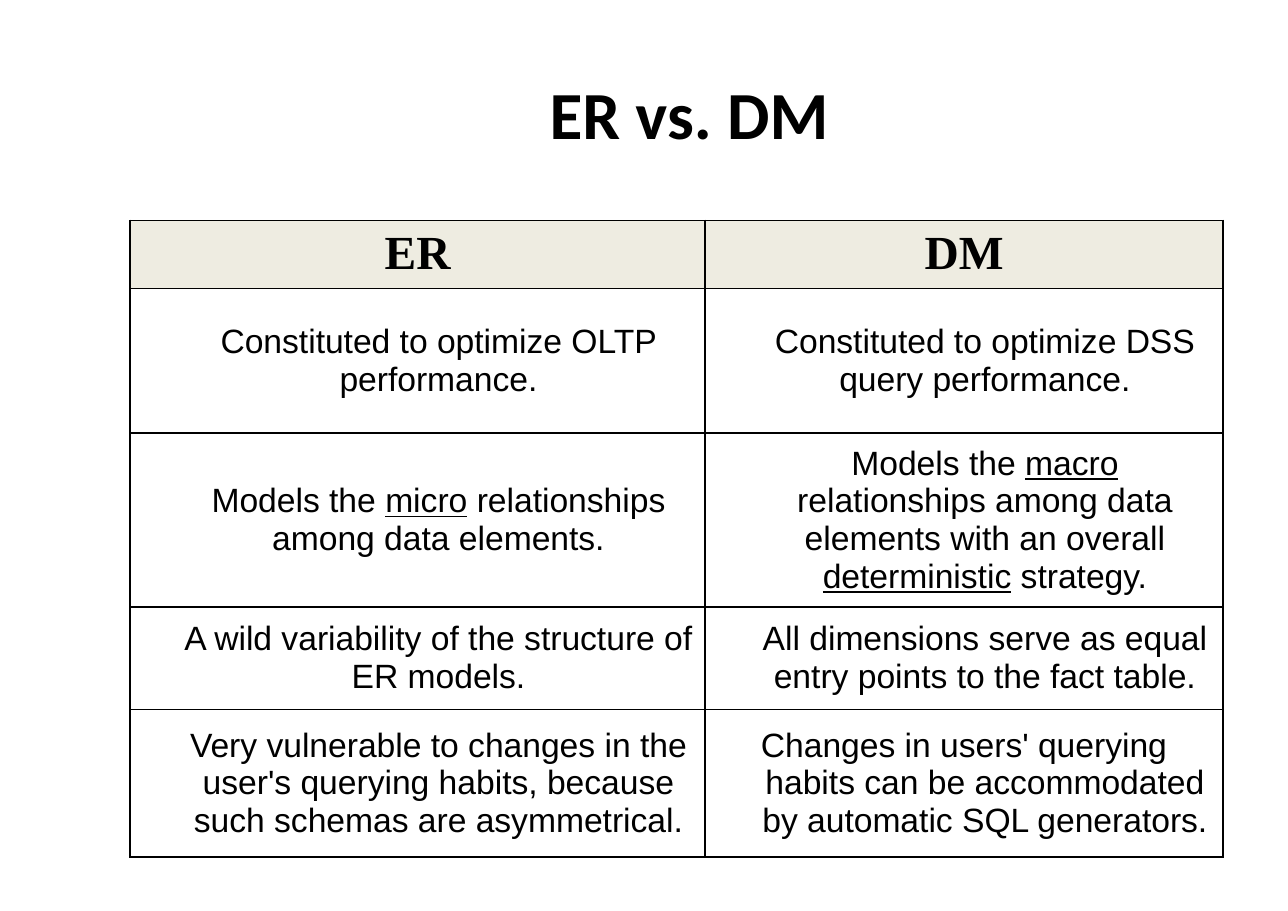
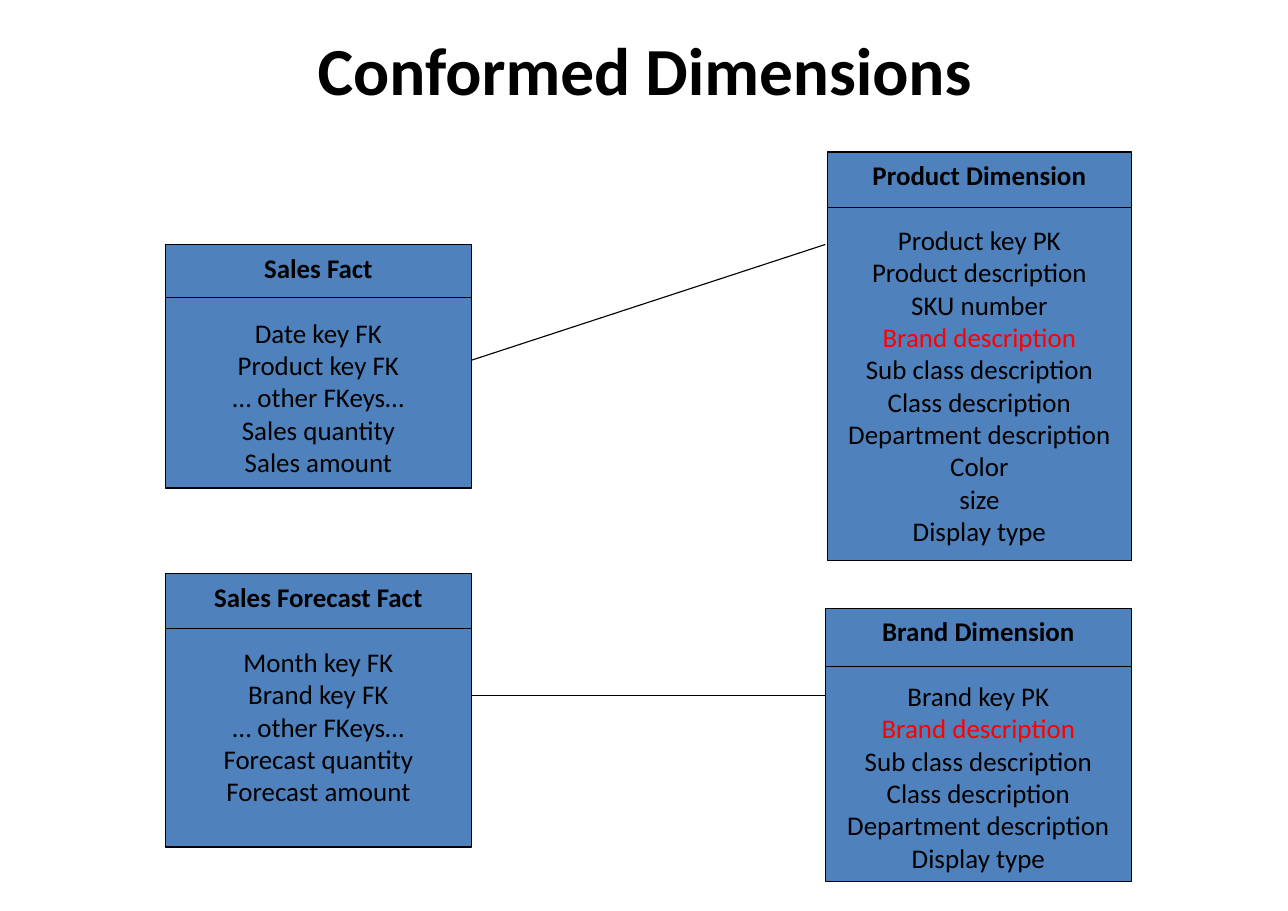
import pptx
import pptx.util
import pptx.dml.color
import pptx.enum.shapes
import pptx.enum.text
import pptx.oxml
import pptx.oxml.ns
from lxml import etree

Inches = pptx.util.Inches
Pt = pptx.util.Pt
qn = pptx.oxml.ns.qn
MIDDLE = pptx.enum.text.MSO_ANCHOR.MIDDLE
TOP = pptx.enum.text.MSO_ANCHOR.TOP
CENTER = pptx.enum.text.PP_ALIGN.CENTER

BLACK, RED, BOX_BLUE, HEADER_FILL = "000000", "FF0000", "4F81BD", "EEECE1"
TITLE_FONT = dict(name="Calibri", size=Pt(44), bold=True)
HEADER_FONT = dict(name="Times New Roman", size=Pt(31), bold=True)
CELL_FONT = dict(name="Arial", size=Pt(22), bold=False)
HEADING_FONT = dict(name="Calibri", size=Pt(17.6), bold=True)
FIELD_FONT = dict(HEADING_FONT, bold=False)
MARGINS = dict(margin_left=Inches(0.11), margin_right=Inches(0.11),
               margin_top=Inches(0.06), margin_bottom=Inches(0.06))
HANG = 0.38

COMPARISON = [
    ("ER", "DM"),
    ("Constituted to optimize OLTP performance.",
     "Constituted to optimize DSS query performance."),
    ("Models the _micro_ relationships among data elements.",
     "Models the _macro_ relationships among data elements with an overall "
     "_deterministic_ strategy."),
    ("A wild variability of the structure of ER models.",
     "All dimensions serve as equal entry points to the fact table."),
    ("Very vulnerable to changes in the user's querying habits, because such "
     "schemas are asymmetrical.",
     "Changes in users' querying habits can be accommodated by automatic SQL "
     "generators."),
]
COLUMN_WIDTHS = (5.22, 4.7)
ROW_HEIGHTS = (0.62, 1.31, 1.58, 0.93, 1.34)

# Each entity: box, height of its heading band, heading, fields
ENTITIES = [
    ((1.5, 2.22, 2.78, 2.21), 0.48, "Sales Fact",
     ["Date key FK", "Product key FK", "… other FKeys…", "Sales quantity",
      "Sales amount"]),
    ((7.51, 1.38, 2.76, 3.71), 0.5, "Product Dimension",
     ["Product key PK", "Product description", "SKU number",
      "Brand description", "Sub class description", "Class description",
      "Department description", "Color", "size", "Display type"]),
    ((1.5, 5.21, 2.78, 2.48), 0.49, "Sales Forecast Fact",
     ["Month key FK", "Brand key FK", "… other FKeys…", "Forecast quantity",
      "Forecast amount"]),
    ((7.49, 5.52, 2.78, 2.48), 0.53, "Brand Dimension",
     ["Brand key PK", "Brand description", "Sub class description",
      "Class description", "Department description", "Display type"]),
]
SHARED_FIELD = "Brand description"
RELATIONS = [((7.49, 2.22), (4.28, 3.27)), ((7.49, 6.31), (4.28, 6.31))]


def rgb(color):
    return pptx.dml.color.RGBColor.from_string(color)


def set_all(target, values):
    for attribute, value in values.items():
        setattr(target, attribute, value)


def add_run(paragraph, text, font, color=BLACK, underline=False):
    run = paragraph.add_run()
    run.text = text
    set_all(run.font, dict(font, underline=underline))
    run.font.color.rgb = rgb(color)


def add_titled_slide(deck, title, box):
    slide = deck.slides.add_slide(deck.slide_layouts[5])
    holder = slide.shapes.title
    set_all(holder, dict(zip(("left", "top", "width", "height"),
                             map(Inches, box))))
    frame = holder.text_frame
    set_all(frame, dict(MARGINS, word_wrap=True, vertical_anchor=MIDDLE,
                        auto_size=pptx.enum.text.MSO_AUTO_SIZE.NONE))
    frame.paragraphs[0].alignment = CENTER
    add_run(frame.paragraphs[0], title, TITLE_FONT)
    return slide


def add_line(slide, start, end, weight):
    line = slide.shapes.add_connector(
        pptx.enum.shapes.MSO_CONNECTOR.STRAIGHT,
        *map(Inches, (*start, *end)))
    line.line.color.rgb = rgb(BLACK)
    line.line.width = Pt(weight)
    etree.SubElement(line._element.spPr, qn("a:effectLst"))


def add_cell_borders(cell):
    properties = cell._tc.get_or_add_tcPr()
    for side in ("lnL", "lnR", "lnT", "lnB"):
        border = etree.SubElement(properties, qn(f"a:{side}"), w=str(Pt(1)))
        fill = etree.SubElement(border, qn("a:solidFill"))
        etree.SubElement(fill, qn("a:srgbClr"), val=BLACK)


def fill_cell(cell, text, is_header, hanging):
    add_cell_borders(cell)
    set_all(cell, dict(MARGINS, vertical_anchor=TOP if is_header else MIDDLE))
    paragraph = cell.text_frame.paragraphs[0]
    paragraph.alignment = CENTER
    if is_header:
        cell.fill.solid()
        cell.fill.fore_color.rgb = rgb(HEADER_FILL)
    else:
        cell.fill.background()
        indents = paragraph._p.get_or_add_pPr()
        indents.set("marL", str(Inches(HANG)))
        indents.set("indent", str(Inches(-HANG if hanging else 0)))
    # Text between underscores is underlined
    for index, part in enumerate(text.split("_")):
        add_run(paragraph, part, HEADER_FONT if is_header else CELL_FONT,
                underline=index % 2 == 1)


def add_comparison(slide, left, top):
    table = slide.shapes.add_table(
        len(ROW_HEIGHTS), len(COLUMN_WIDTHS), Inches(left), Inches(top),
        Inches(sum(COLUMN_WIDTHS)), Inches(sum(ROW_HEIGHTS))).table
    set_all(table, dict(first_row=False, horz_banding=False))
    for column, width in zip(table.columns, COLUMN_WIDTHS):
        column.width = Inches(width)
    for row, height in zip(table.rows, ROW_HEIGHTS):
        row.height = Inches(height)
    for r, texts in enumerate(COMPARISON):
        for c, text in enumerate(texts):
            # Only the closing cell starts its first line further left
            closing = (r, c) == (len(ROW_HEIGHTS) - 1, len(COLUMN_WIDTHS) - 1)
            fill_cell(table.cell(r, c), text, r == 0, closing)


def add_entity(slide, box, band, heading, fields):
    left, top, width, _ = box
    entity = slide.shapes.add_shape(
        pptx.enum.shapes.MSO_SHAPE.RECTANGLE, *map(Inches, box))
    entity.shadow.inherit = False
    entity.fill.solid()
    entity.fill.fore_color.rgb = rgb(BOX_BLUE)
    entity.line.color.rgb = rgb(BLACK)
    entity.line.width = Pt(0.75)
    frame = entity.text_frame
    set_all(frame, dict(MARGINS, word_wrap=False, vertical_anchor=TOP))

    # Heading, then the fields one line lower
    paragraph = frame.paragraphs[0]
    set_all(paragraph, dict(alignment=CENTER, space_after=Pt(21.4)))
    add_run(paragraph, heading, HEADING_FONT)
    for field in fields:
        paragraph = frame.add_paragraph()
        paragraph.alignment = CENTER
        add_run(paragraph, field, FIELD_FONT,
                RED if field == SHARED_FIELD else BLACK)

    # Rule under the heading
    add_line(slide, (left, top + band), (left + width, top + band), 0.5)


def main():
    deck = pptx.Presentation()
    deck.slide_width, deck.slide_height = Inches(11.69), Inches(8.27)

    comparison = add_titled_slide(deck, "ER vs. DM", (1.41, 0.33, 9.69, 1.38))
    add_comparison(comparison, 1.18, 2)

    dimensions = add_titled_slide(deck, "Conformed Dimensions",
                                  (0.89, 0.14, 9.93, 0.96))
    for entity in ENTITIES:
        add_entity(dimensions, *entity)
    for start, end in RELATIONS:
        add_line(dimensions, start, end, 0.75)

    deck.save("out.pptx")


if __name__ == "__main__":
    main()
